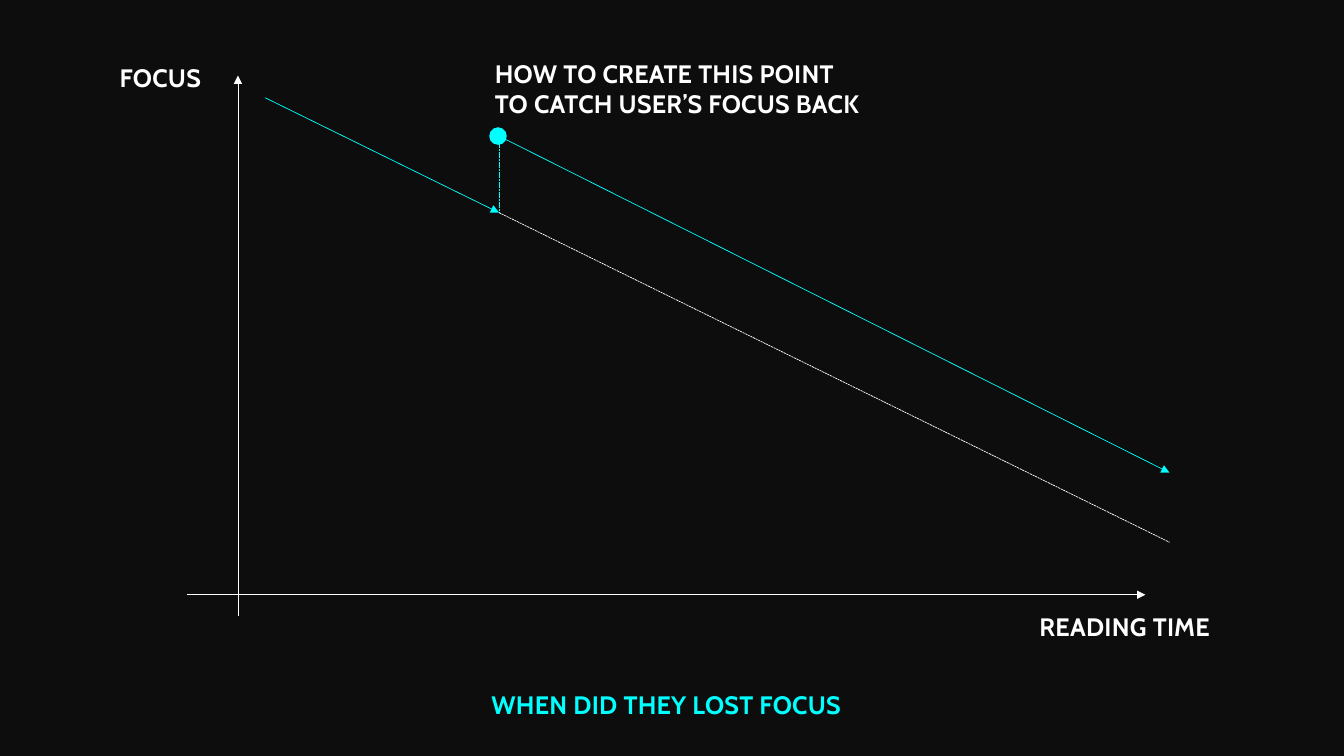
from lxml.etree import SubElement
from pptx import Presentation
from pptx.dml.color import RGBColor
from pptx.enum.dml import MSO_LINE
from pptx.enum.shapes import MSO_CONNECTOR, MSO_SHAPE
from pptx.enum.text import MSO_AUTO_SIZE, PP_ALIGN
from pptx.oxml.ns import qn
from pptx.util import Pt

PX = 9144  # 100 px to the inch
COLORS = {"background": "0D0D0D", "white": "FFFFFF", "cyan": "00FFFF"}


def rgb(color):
    return RGBColor.from_string(COLORS[color])


def write_text(frame, text, color="white", size=18, font="Cabin",
               align=PP_ALIGN.CENTER, spacing=20):
    """Write one paragraph per line; spacing is in hundredths of a point."""
    for number, line in enumerate(text.split("\n")):
        paragraph = frame.add_paragraph() if number else frame.paragraphs[0]
        paragraph.alignment = align
        run = paragraph.add_run()
        run.text = line
        run.font.name = font
        run.font.size = Pt(size)
        run.font.bold = True
        run.font.color.rgb = rgb(color)
        run.font._element.set("spc", str(spacing))


class FocusChart:
    def __init__(self, slide):
        self.slide = slide
        slide.background.fill.solid()
        slide.background.fill.fore_color.rgb = rgb("background")

    def label(self, left, top, width, height, text, **style):
        box = self.slide.shapes.add_textbox(
            left * PX, top * PX, width * PX, height * PX)
        box.text_frame.word_wrap = True
        box.text_frame.auto_size = MSO_AUTO_SIZE.SHAPE_TO_FIT_TEXT
        write_text(box.text_frame, text, **style)

    def line(self, start, end, color="white", weight=0.5, dashed=False, arrow=False):
        connector = self.slide.shapes.add_connector(
            MSO_CONNECTOR.STRAIGHT, *(value * PX for value in start + end))
        connector.line.color.rgb = rgb(color)
        connector.line.width = Pt(weight)
        if dashed:
            connector.line.dash_style = MSO_LINE.SQUARE_DOT
        properties = connector._element.spPr
        if arrow:
            SubElement(properties.find(qn("a:ln")), qn("a:tailEnd"), type="triangle")
        SubElement(properties, qn("a:effectLst"))

    def dot(self, left, top, size, color):
        dot = self.slide.shapes.add_shape(
            MSO_SHAPE.OVAL, left * PX, top * PX, size * PX, size * PX)
        dot.shadow.inherit = False
        dot.fill.solid()
        dot.fill.fore_color.rgb = rgb(color)
        dot.line.color.rgb = rgb(color)
        dot.line.width = Pt(1)


def main():
    presentation = Presentation()
    presentation.slide_width = 1333 * PX
    presentation.slide_height = 750 * PX
    chart = FocusChart(presentation.slides.add_slide(presentation.slide_layouts[6]))

    # Caption
    chart.label(431, 679, 460, 40, "WHEN DID THEY LOST FOCUS", color="cyan")

    # Axes
    chart.line((236, 611), (236, 75), arrow=True)
    chart.line((185, 590), (1136, 590), arrow=True)

    # Focus drops, is caught back, then drops again
    focus_lost, focus_regained = (495, 211), (495, 135)
    chart.line((263, 97), focus_lost, color="cyan", arrow=True)
    chart.line(focus_lost, focus_regained, color="cyan", weight=0.25, dashed=True)
    chart.line(focus_regained, (1160, 469), color="cyan", arrow=True)

    # Axis labels
    chart.label(996, 602, 239, 40, "READING TIME")
    chart.label(94, 57, 130, 40, "FOCUS")

    # Focus without the catch point
    chart.line(focus_lost, (1160, 538), dashed=True)

    # Catch point and its question
    chart.dot(486, 127, 16, "cyan")
    chart.label(481, 53, 447, 71,
                "HOW TO CREATE THIS POINT\nTO CATCH USER’S FOCUS BACK",
                align=PP_ALIGN.LEFT)

    presentation.save("out.pptx")


if __name__ == "__main__":
    main()
